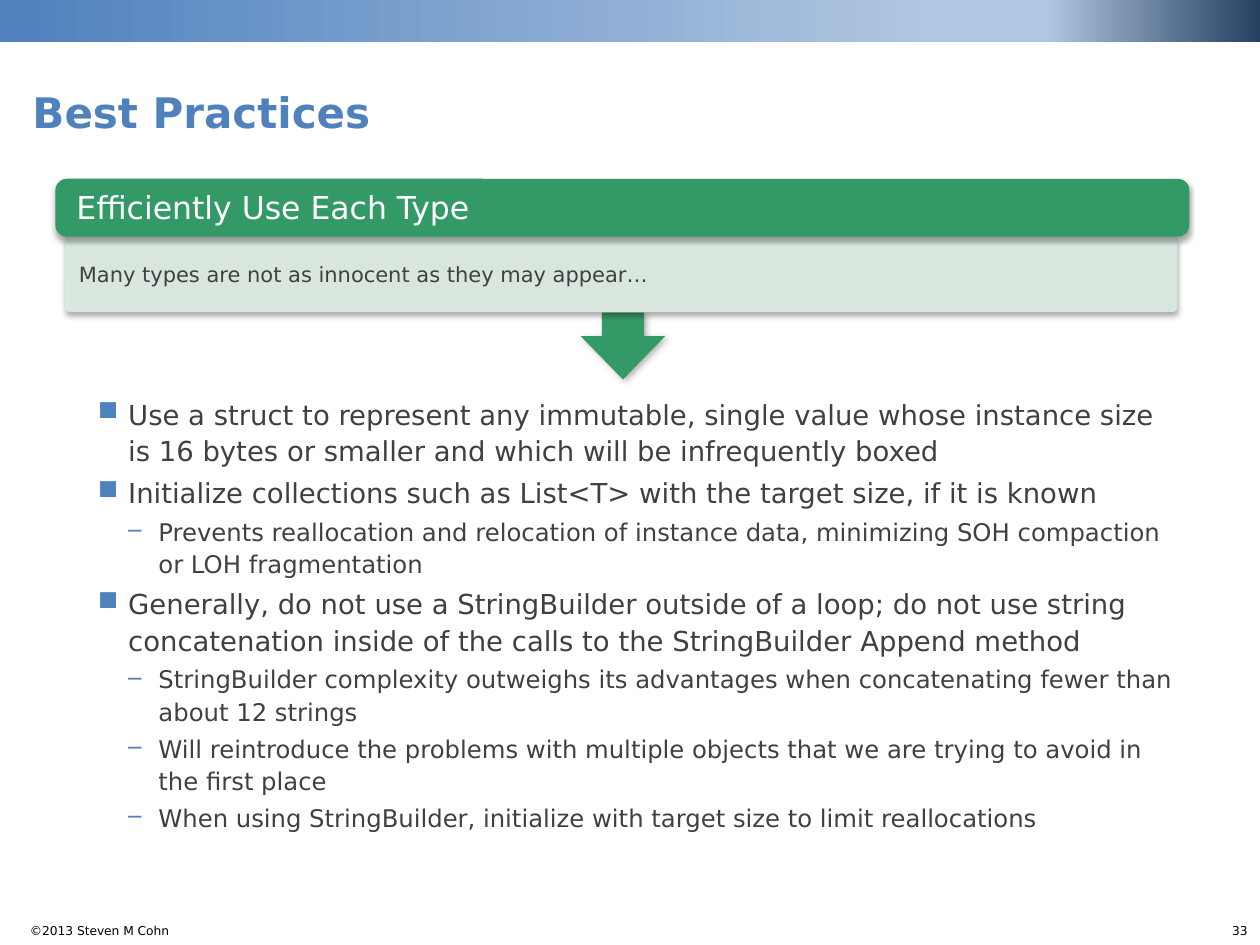
import pptx
import pptx.util
import pptx.dml.color
import pptx.enum.shapes
import pptx.enum.text
import pptx.oxml
import pptx.oxml.ns

Pt = pptx.util.Pt
ANCHOR = pptx.enum.text.MSO_ANCHOR
ALIGN = pptx.enum.text.PP_ALIGN
SHAPE = pptx.enum.shapes.MSO_SHAPE
qn = pptx.oxml.ns.qn

COLORS = {
    "blue": "4F81BD", "pale_blue": "B0C6E1", "navy": "254061",
    "green": "339966", "pale_green": "DDEDE4", "edge": "D8E8DF",
    "text": "404040", "white": "FFFFFF", "black": "000000",
}


def rgb(name):
    return pptx.dml.color.RGBColor.from_string(COLORS[name])


def add_xml(parent, tag, **attributes):
    element = pptx.oxml.ns.OxmlElement(tag) if hasattr(pptx.oxml.ns, "OxmlElement") else parent.makeelement(qn(tag))
    for key, value in attributes.items():
        element.set(key, str(value))
    parent.append(element)
    return element


class SlideBuilder:
    font_name = "DejaVu Sans"
    levels = [("■", 36, 15.7, 3.4), ("–", 53.3, 13.9, 2.9)]
    hanging = 17.3

    def __init__(self, slide):
        self.slide = slide

    def style(self, paragraph, text, size, color, bold=False):
        paragraph.text = text
        paragraph.font.name = self.font_name
        paragraph.font.size = Pt(size)
        paragraph.font.bold = bold
        paragraph.font.color.rgb = rgb(color)

    def text(self, box, text, size, color, bold=False, wrap=True,
             align=ALIGN.LEFT, anchor=ANCHOR.TOP):
        frame = self.slide.shapes.add_textbox(*map(Pt, box)).text_frame
        frame.word_wrap = wrap
        frame.vertical_anchor = anchor
        paragraph = frame.paragraphs[0]
        paragraph.alignment = align
        self.style(paragraph, text, size, color, bold)

    def bullets(self, box, items):
        frame = self.slide.shapes.add_textbox(*map(Pt, box)).text_frame
        frame.word_wrap = True
        for index, (level, text) in enumerate(items):
            paragraph = frame.paragraphs[0] if index == 0 else frame.add_paragraph()
            mark, indent, size, space = self.levels[level]
            self.style(paragraph, text, size, "text")
            paragraph.level = level
            paragraph.line_spacing = 1.1
            paragraph.space_before = Pt(space)
            properties = paragraph._p.get_or_add_pPr()
            properties.set("marL", str(Pt(indent)))
            properties.set("indent", str(-Pt(self.hanging)))
            bullet_color = properties.makeelement(qn("a:buClr"))
            add_xml(bullet_color, "a:srgbClr", val=COLORS["blue"])
            bullet = properties.makeelement(qn("a:buChar"), {"char": mark})
            position = properties.index(properties.find(qn("a:defRPr")))
            properties.insert(position, bullet_color)
            properties.insert(position + 1, bullet)

    def shape(self, kind, box, fill, adjustments=(), line=None, opacity=100, shadow=None):
        shape = self.slide.shapes.add_shape(kind, *map(Pt, box))
        for index, value in enumerate(adjustments):
            shape.adjustments[index] = value
        shape.fill.solid()
        shape.fill.fore_color.rgb = rgb(fill)
        if line:
            shape.line.color.rgb = rgb(line)
            shape.line.width = Pt(0.75)
        else:
            shape.line.fill.background()
        shape.shadow.inherit = False
        properties = shape._element.spPr
        if opacity < 100:
            for color in list(properties.iter(qn("a:srgbClr"))):
                add_xml(color, "a:alpha", val=opacity * 1000)
        if shadow:
            alpha, blur, distance, angle = shadow
            outer = add_xml(properties.find(qn("a:effectLst")), "a:outerShdw",
                            blurRad=Pt(blur), dist=Pt(distance),
                            dir=angle * 60000, rotWithShape=0)
            color = add_xml(outer, "a:srgbClr", val=COLORS["black"])
            add_xml(color, "a:alpha", val=alpha * 1000)
        return shape

    def label(self, shape, text, size, color, margins):
        frame = shape.text_frame
        frame.word_wrap = True
        frame.vertical_anchor = ANCHOR.MIDDLE
        (frame.margin_left, frame.margin_top,
         frame.margin_right, frame.margin_bottom) = map(Pt, margins)
        paragraph = frame.paragraphs[0]
        paragraph.alignment = ALIGN.LEFT
        paragraph.line_spacing = 0.9
        self.style(paragraph, text, size, color)

    def gradient_band(self, box, stops):
        band = self.shape(SHAPE.RECTANGLE, box, stops[0][1])
        band.fill.gradient()
        band.fill.gradient_angle = 0
        stop_list = band._element.spPr.find(qn("a:gradFill")).find(qn("a:gsLst"))
        for stop in list(stop_list):
            stop_list.remove(stop)
        for position, color in stops:
            stop = add_xml(stop_list, "a:gs", pos=position * 1000)
            add_xml(stop, "a:srgbClr", val=COLORS[color])


def main():
    presentation = pptx.Presentation()
    presentation.slide_width, presentation.slide_height = Pt(720), Pt(540)
    builder = SlideBuilder(presentation.slides.add_slide(presentation.slide_layouts[6]))

    builder.text((7.9, 524.2, 95.8, 15.8), "©2013 Steven M Cohn", 7, "black",
                 wrap=False, align=ALIGN.RIGHT)
    builder.text((691.2, 524.2, 28.8, 15.8), "33", 7, "black",
                 wrap=True, align=ALIGN.RIGHT)
    builder.gradient_band((0, -0.7, 720, 24.5), [
        (0, "blue"), (74, "pale_blue"), (83, "pale_blue"), (100, "navy")])
    builder.text((11.5, 18, 540, 64), "Best Practices", 24, "blue",
                 bold=True, anchor=ANCHOR.BOTTOM)
    builder.bullets((30.2, 221.8, 648, 277.2), [
        (0, "Use a struct to represent any immutable, single value whose instance size is 16 bytes or smaller and which will be infrequently boxed"),
        (0, "Initialize collections such as List<T> with the target size, if it is known"),
        (1, "Prevents reallocation and relocation of instance data, minimizing SOH compaction or LOH fragmentation"),
        (0, "Generally, do not use a StringBuilder outside of a loop; do not use string concatenation inside of the calls to the StringBuilder Append method"),
        (1, "StringBuilder complexity outweighs its advantages when concatenating fewer than about 12 strings"),
        (1, "Will reintroduce the problems with multiple objects that we are trying to avoid in the first place"),
        (1, "When using StringBuilder, initialize with target size to limit reallocations"),
    ])

    card_shadow = (35, 3.1, 1.8, 90)
    builder.shape(SHAPE.DOWN_ARROW, (331.9, 178.6, 48.2, 38.2), "green",
                  (0.5, 0.645), shadow=(30, 4, 2, 45))
    panel = builder.shape(SHAPE.ROUND_2_SAME_RECTANGLE, (37.4, 135.4, 635, 42.5),
                          "pale_green", (0, 0.05), "edge", 90, card_shadow)
    builder.label(panel, "Many types are not as innocent as they may appear…",
                  12, "text", (7.2, 5.8, 7.2, 3.6))
    header = builder.shape(SHAPE.ROUNDED_RECTANGLE, (31.7, 102.2, 648, 33.1),
                           "green", (0.2,), shadow=card_shadow)
    builder.label(header, "Efficiently Use Each Type", 18, "white",
                  (10.1, 9.4, 10.1, 7.2))
    presentation.save("out.pptx")


if __name__ == "__main__":
    main()
